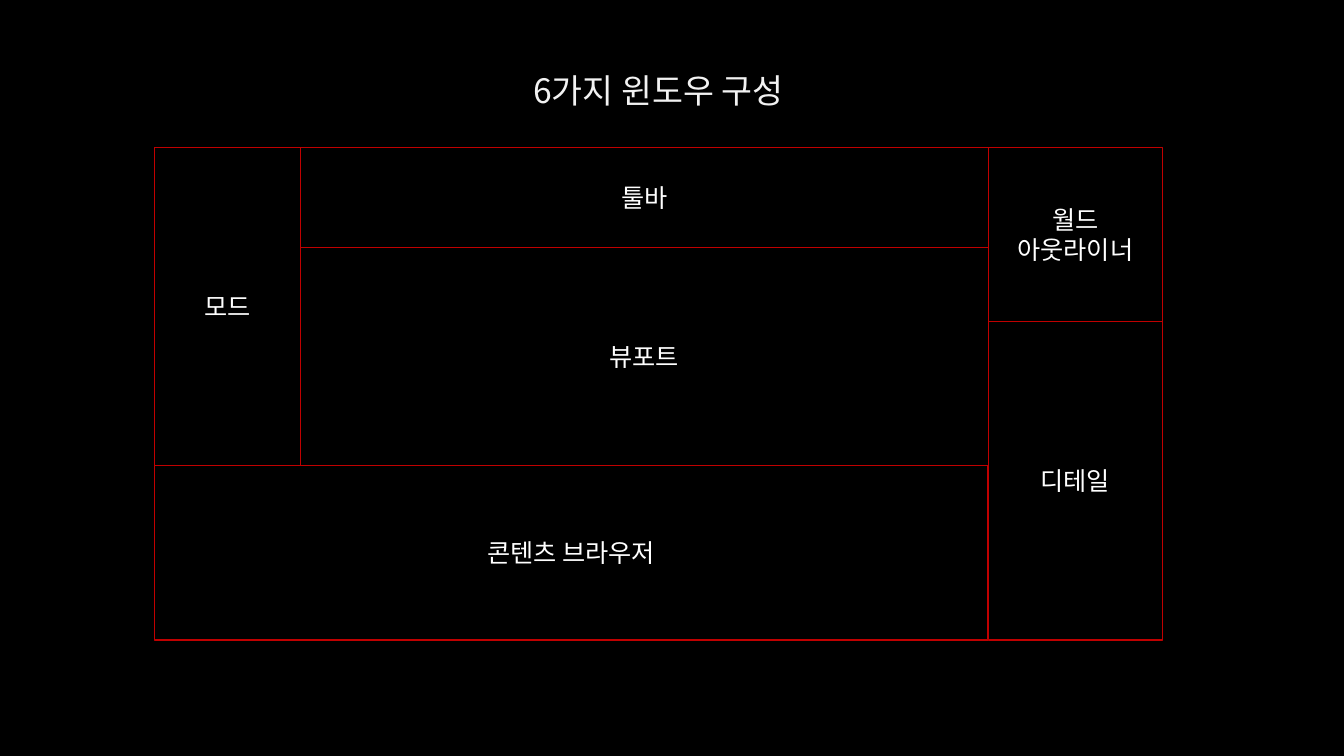
from lxml.etree import SubElement
from pptx import Presentation
from pptx.dml.color import RGBColor
from pptx.enum.shapes import MSO_SHAPE
from pptx.enum.text import MSO_ANCHOR, PP_ALIGN
from pptx.oxml.ns import qn
from pptx.util import Pt

SCALE = 9144
COLORS = {"back": "000000", "title": "F2F2F2", "text": "FFFFFF", "line": "C00000"}


class Deck:
    face = "Noto Sans CJK KR"

    def __init__(self, width, height):
        self.file = Presentation()
        self.file.slide_width = width * SCALE
        self.file.slide_height = height * SCALE
        self.slide = self.file.slides.add_slide(self.file.slide_layouts[6])
        fill = self.slide.background.fill
        fill.solid()
        fill.fore_color.rgb = self.color("back")

    def color(self, name):
        return RGBColor.from_string(COLORS[name])

    def label(self, shape, text, size, color, anchor, space=1.0):
        frame = shape.text_frame
        frame.word_wrap = True
        frame.vertical_anchor = anchor
        frame.text = text
        for para in frame.paragraphs:
            para.alignment = PP_ALIGN.CENTER
            para.line_spacing = space
            para.font.size = Pt(size)
            para.font.name = self.face
            para.font.color.rgb = self.color(color)
            props = para._p.pPr.find(qn("a:defRPr"))
            SubElement(props, qn("a:ea")).set("typeface", self.face)

    def title(self, text, *box):
        shape = self.slide.shapes.add_textbox(*(n * SCALE for n in box))
        self.label(shape, text, 24, "title", MSO_ANCHOR.BOTTOM, 0.9)

    def panel(self, text, left, top, right, bottom):
        box = (left, top, right - left, bottom - top)
        shape = self.slide.shapes.add_shape(
            MSO_SHAPE.RECTANGLE, *(n * SCALE for n in box))
        shape.shadow.inherit = False
        shape.fill.background()
        shape.line.color.rgb = self.color("line")
        shape.line.width = Pt(0.75)
        self.label(shape, text, 18, "text", MSO_ANCHOR.MIDDLE)


def main():
    deck = Deck(1333, 750)
    deck.title("6가지 윈도우 구성", 153, 61, 1000, 54)

    left, mode, side, right = 153, 298, 980, 1153
    top, tool, world, view, bottom = 146, 246, 319, 462, 635
    panels = [
        ("모드", left, top, mode, view),
        ("툴바", mode, top, side, tool),
        ("뷰포트", mode, tool, side, view),
        ("월드\n아웃라이너", side, top, right, world),
        ("디테일", side, world, right, bottom),
        ("콘텐츠 브라우저", left, view, side, bottom),
    ]
    for panel in panels:
        deck.panel(*panel)

    deck.file.save("out.pptx")


if __name__ == "__main__":
    main()
